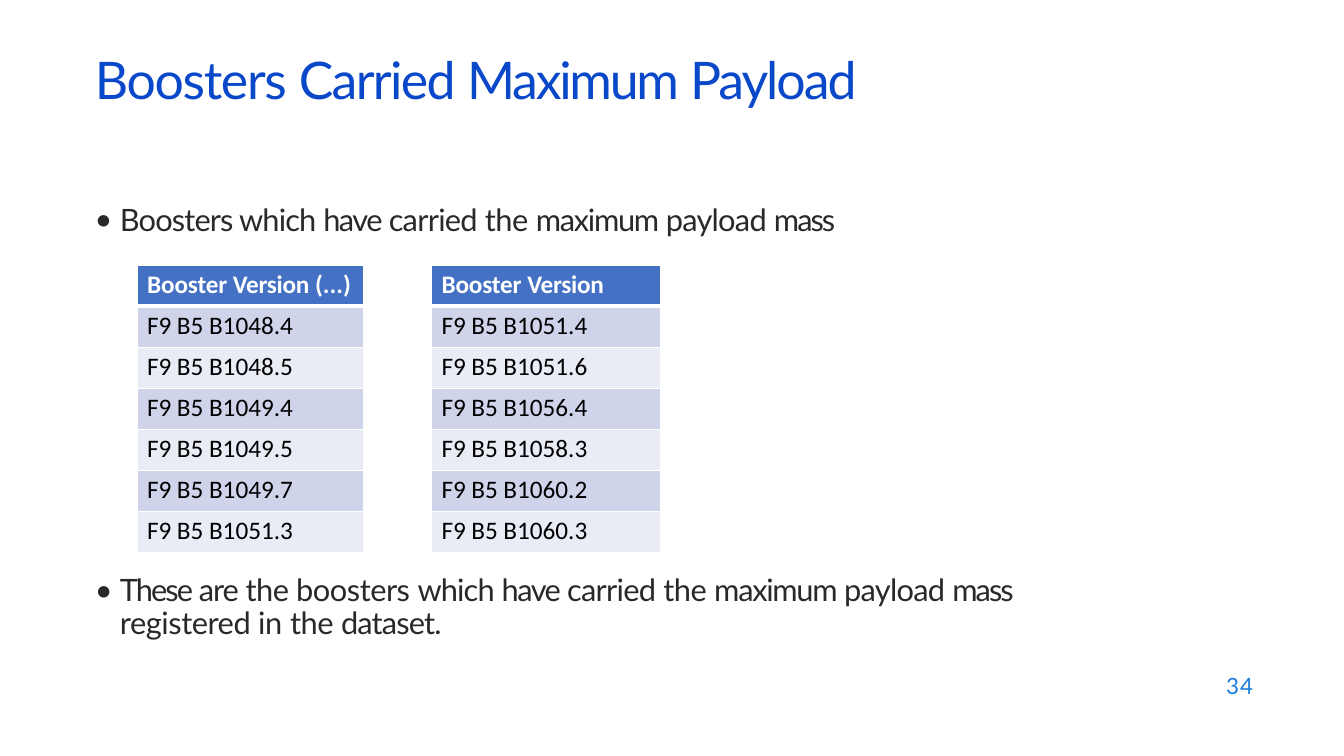
import pptx
import pptx.dml.color
import pptx.enum.text
import pptx.oxml
import pptx.oxml.ns
import pptx.util
import lxml.etree

SCALE = 9144
INK = "292929"
WHITE = "FFFFFF"
QN = pptx.oxml.ns.qn


def px(size):
    return pptx.util.Emu(size * SCALE)


def color(code):
    return pptx.dml.color.RGBColor.from_string(code)


def write(frame, runs, size=18, font="Lato", ink=INK, bold=False,
          left=0, hang=0, lead=None, bullet=None):
    para = frame.paragraphs[0]
    props = para._p.get_or_add_pPr()
    props.set("marL", str(px(left)))
    props.set("indent", str(px(-hang)))
    if lead:
        para.line_spacing = pptx.util.Pt(lead)
    if bullet:
        face = lxml.etree.SubElement(props, QN("a:buFont"))
        face.set("typeface", font)
        mark = lxml.etree.SubElement(props, QN("a:buChar"))
        mark.set("char", bullet)
    for words, gap in runs:
        run = para.add_run()
        run.text = words
        run.font.size = pptx.util.Pt(size)
        run.font.name = font
        run.font.bold = bold
        run.font.color.rgb = color(ink)
        run._r.get_or_add_rPr().set("spc", str(round(gap * 100)))


def border(cell, side, width):
    line = lxml.etree.SubElement(cell._tc.get_or_add_tcPr(), QN("a:ln" + side))
    line.set("w", str(pptx.util.Pt(width)))
    fill = lxml.etree.SubElement(line, QN("a:solidFill"))
    lxml.etree.SubElement(fill, QN("a:srgbClr")).set("val", WHITE)


class Deck:
    head = "4471C4"
    bands = ("CFD4EA", "E9EBF5")

    def __init__(self):
        self.file = pptx.Presentation()
        self.file.slide_width = px(1333)
        self.file.slide_height = px(750)
        self.slide = self.file.slides.add_slide(self.file.slide_layouts[6])

    def text(self, x, y, wide, high, runs, top=0, **style):
        frame = self.slide.shapes.add_textbox(px(x), px(y), px(wide), px(high)).text_frame
        frame.word_wrap = True
        frame.auto_size = pptx.enum.text.MSO_AUTO_SIZE.SHAPE_TO_FIT_TEXT
        frame.margin_left = frame.margin_right = frame.margin_bottom = 0
        frame.margin_top = px(top)
        write(frame, runs, **style)

    def item(self, y, wide, high, runs, top, lead=None):
        self.text(93, y, wide, high, runs, top=top, size=22,
                  left=26, hang=25, lead=lead, bullet="•")

    def table(self, x, y, wide, high, title, codes):
        rows = len(codes) + 1
        grid = self.slide.shapes.add_table(rows, 1, px(x), px(y), px(wide), px(high)).table
        grid.first_row = grid.horz_banding = False
        for row in range(rows):
            cell = grid.cell(row, 0)
            cell.margin_left = cell.margin_right = cell.margin_bottom = 0
            cell.margin_top = px(4)
            border(cell, "L", 1)
            border(cell, "R", 1)
            border(cell, "T", 3 if row == 1 else 1)
            border(cell, "B", 3 if row == 0 else 1)
            cell.fill.solid()
            if row == 0:
                shade, ink, runs = self.head, WHITE, title
            else:
                shade, ink = self.bands[(row - 1) % 2], "000000"
                runs = [("F9 ", -0.1), ("B5 " + codes[row - 1], 0)]
            cell.fill.fore_color.rgb = color(shade)
            write(cell.text_frame, runs, font="Calibri", ink=ink, bold=row == 0, left=10)


def main():
    deck = Deck()
    claim = [("which ", -0.6), ("have ", -1.1), ("carried ", -0.5), ("the ", -0.3),
             ("maximum ", -0.9), ("payload ", -0.5)]
    deck.item(198, 764, 39, [("Boosters ", -0.6), *claim, ("mass", -1.4)], 1)
    deck.text(1212, 668, 35, 28, [("34", 0.8)], size=16, ink="1C7CDB", left=4, lead=18.4)
    deck.item(565, 948, 73, [
        ("These ", -1.4), ("are ", -0.8), ("the boosters ", -0.3), *claim,
        ("mass ", -1.4), ("registered ", -0.3), ("in ", -0.2), ("the ", -0.3),
        ("dataset.", -0.6)], 5, 23.8)
    deck.text(93, 46, 781, 65, [
        ("Boosters ", -0.9), ("Carried ", -1.2), ("Maximum ", -1.6), ("Payload", -1.4)],
        top=1, size=37, ink="0A48CA", left=1)
    title = [("Booster ", -0.1), ("Version", -0.2)]
    deck.table(136, 263, 225, 285, [*title, (" (...)", 0)],
               ["B1048.4", "B1048.5", "B1049.4", "B1049.5", "B1049.7", "B1051.3"])
    deck.table(428, 263, 227, 285, title,
               ["B1051.4", "B1051.6", "B1056.4", "B1058.3", "B1060.2", "B1060.3"])
    deck.file.save("out.pptx")


if __name__ == "__main__":
    main()
